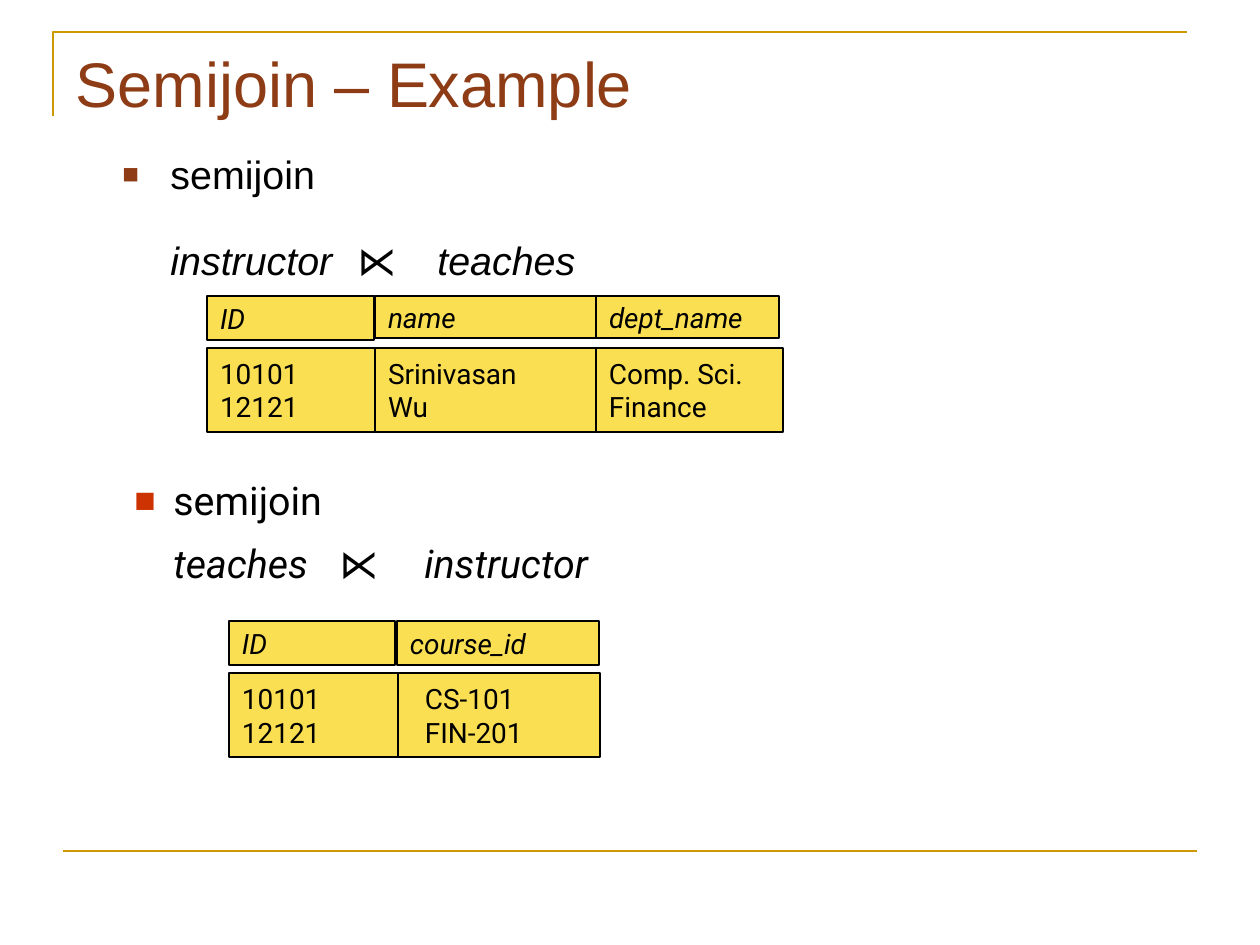
from lxml import etree
from pptx import Presentation
from pptx.dml.color import RGBColor
from pptx.enum.shapes import MSO_CONNECTOR, MSO_SHAPE
from pptx.enum.text import MSO_ANCHOR, PP_ALIGN
from pptx.oxml.ns import qn
from pptx.util import Emu, Pt

STRAIGHT = MSO_CONNECTOR.STRAIGHT
RECTANGLE = MSO_SHAPE.RECTANGLE
TOP, MIDDLE = MSO_ANCHOR.TOP, MSO_ANCHOR.MIDDLE
LEFT = PP_ALIGN.LEFT

EMU_PER_PX = 914400 / 126
COLORS = {
    "rule": "CC9900",
    "title": "8D3C15",
    "red_bullet": "CC3300",
    "text": "000000",
    "cell": "FBDF53",
}
INSET = 13
CELL_PADDING_WIDE = 27


def px(length):
    return Emu(round(length * EMU_PER_PX))


def color(name):
    return RGBColor.from_string(COLORS[name])


def set_font(paragraph, name, size, color_name="text", italic=False):
    font = paragraph.font
    font.name, font.size, font.italic = name, Pt(size), italic
    font.color.rgb = color(color_name)


def set_line(shape, color_name, width):
    shape.line.color.rgb = color(color_name)
    shape.line.width = Pt(width)


def add_bullet(paragraph, color_name, percent, hanging):
    properties = paragraph._p.get_or_add_pPr()
    properties.set("marL", str(px(hanging)))
    properties.set("indent", str(-px(hanging)))
    bullet_color = etree.SubElement(properties, qn("a:buClr"))
    etree.SubElement(bullet_color, qn("a:srgbClr"), val=COLORS[color_name])
    etree.SubElement(properties, qn("a:buSzPct"), val=str(percent * 1000))
    etree.SubElement(properties, qn("a:buFont"), typeface="Arial")
    etree.SubElement(properties, qn("a:buChar"), char="■")


def add_tab_stops(paragraph, stops):
    tabs = etree.SubElement(paragraph._p.get_or_add_pPr(), qn("a:tabLst"))
    for stop in stops:
        etree.SubElement(tabs, qn("a:tab"), pos=str(px(stop)), algn="l")


def add_rules(slide):
    """Draw the corner bracket at the title and the line at the foot."""
    builder = slide.shapes.build_freeform(px(53), px(116), scale=1.0)
    builder.add_line_segments([(px(53), px(32)), (px(1187), px(32))], close=False)
    bracket = builder.convert_to_shape()
    bracket.shadow.inherit = False
    bracket.fill.background()
    set_line(bracket, "rule", 1.5)

    foot = slide.shapes.add_connector(STRAIGHT, px(63), px(851), px(1197), px(851))
    etree.SubElement(foot._element.spPr, qn("a:effectLst"))
    set_line(foot, "rule", 1.5)


def format_title(slide, text):
    title = slide.shapes.title
    title.left, title.top, title.width, title.height = map(px, (63, 38, 1134, 158))
    frame = title.text_frame
    frame.text = text
    frame.vertical_anchor = TOP
    paragraph = frame.paragraphs[0]
    paragraph.alignment = LEFT
    set_font(paragraph, "Arial", 36, "title")


def add_semijoin(slide, box, operands, stops, font_name, bullet, spacing, gap):
    """Add a bullet line and, aligned by tabs below it, the expression."""
    frame = slide.shapes.add_textbox(*map(px, box)).text_frame
    frame.word_wrap = True
    heading = frame.paragraphs[0]
    heading.text = "semijoin"
    add_bullet(heading, *bullet, hanging=stops[0])
    heading.line_spacing = spacing
    set_font(heading, font_name, 22.5)

    expression = frame.add_paragraph()
    left_operand, right_operand = operands
    expression.text = f"\t{left_operand}\t⋉\t{right_operand}"
    add_tab_stops(expression, stops)
    expression.line_spacing = spacing
    expression.space_before = Pt(gap)
    set_font(expression, font_name, 22.5, italic=True)


def add_cell(slide, box, lines, italic=False, padding=INSET):
    cell = slide.shapes.add_shape(RECTANGLE, *map(px, box))
    cell.shadow.inherit = False
    cell.fill.solid()
    cell.fill.fore_color.rgb = color("cell")
    set_line(cell, "text", 0.75)
    frame = cell.text_frame
    frame.word_wrap = True
    frame.vertical_anchor = MIDDLE
    frame.margin_left = px(padding)
    frame.text = "\n".join(lines)
    for paragraph in frame.paragraphs:
        paragraph.alignment = LEFT
        set_font(paragraph, "Roboto", 16, italic=italic)


def add_relation(slide, top, columns):
    """Each column: name, header (left, width, height), values (left, width), padding, values."""
    for name, header, body, padding, values in columns:
        left, width, height = header
        add_cell(slide, (left, top, width, height), [name], italic=True)
        left, width = body
        add_cell(slide, (left, top + 52, width, 84), values, padding=padding)


def main():
    presentation = Presentation()
    presentation.slide_width, presentation.slide_height = px(1260), px(945)
    slide = presentation.slides.add_slide(presentation.slide_layouts[5])

    add_rules(slide)
    format_title(slide, "Semijoin – Example")

    add_semijoin(slide, (110, 149, 964, 116), ("instructor", "teaches"),
                 (48, 235, 315), "Arial", ("title", 70), 0.9, 25)
    add_relation(slide, 296, [
        ("ID", (207, 167, 44), (207, 170), INSET, ["10101", "12121"]),
        ("name", (375, 221, 42), (375, 221), INSET, ["Srinivasan", "Wu"]),
        ("dept_name", (596, 183, 42), (596, 187), INSET, ["Comp. Sci.", "Finance"]),
    ])

    add_semijoin(slide, (122, 470, 583, 125), ("teaches", "instructor"),
                 (39, 205, 290), "Roboto", ("red_bullet", 90), 1.0, 9)
    add_relation(slide, 621, [
        ("ID", (229, 166, 44), (229, 170), INSET, ["10101", "12121"]),
        ("course_id", (397, 202, 44), (398, 202), CELL_PADDING_WIDE,
         ["CS-101", "FIN-201"]),
    ])

    presentation.save("out.pptx")


if __name__ == "__main__":
    main()
